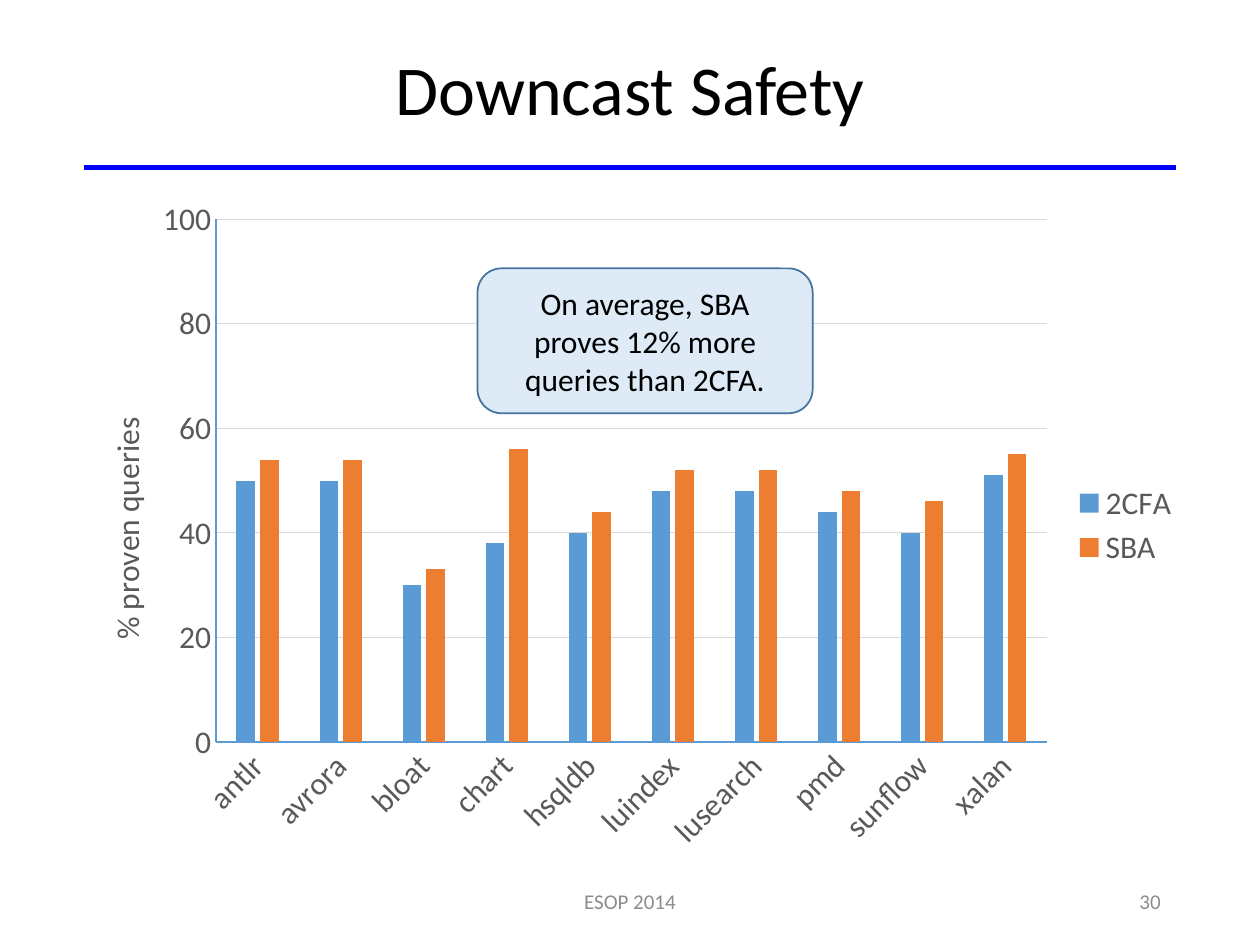
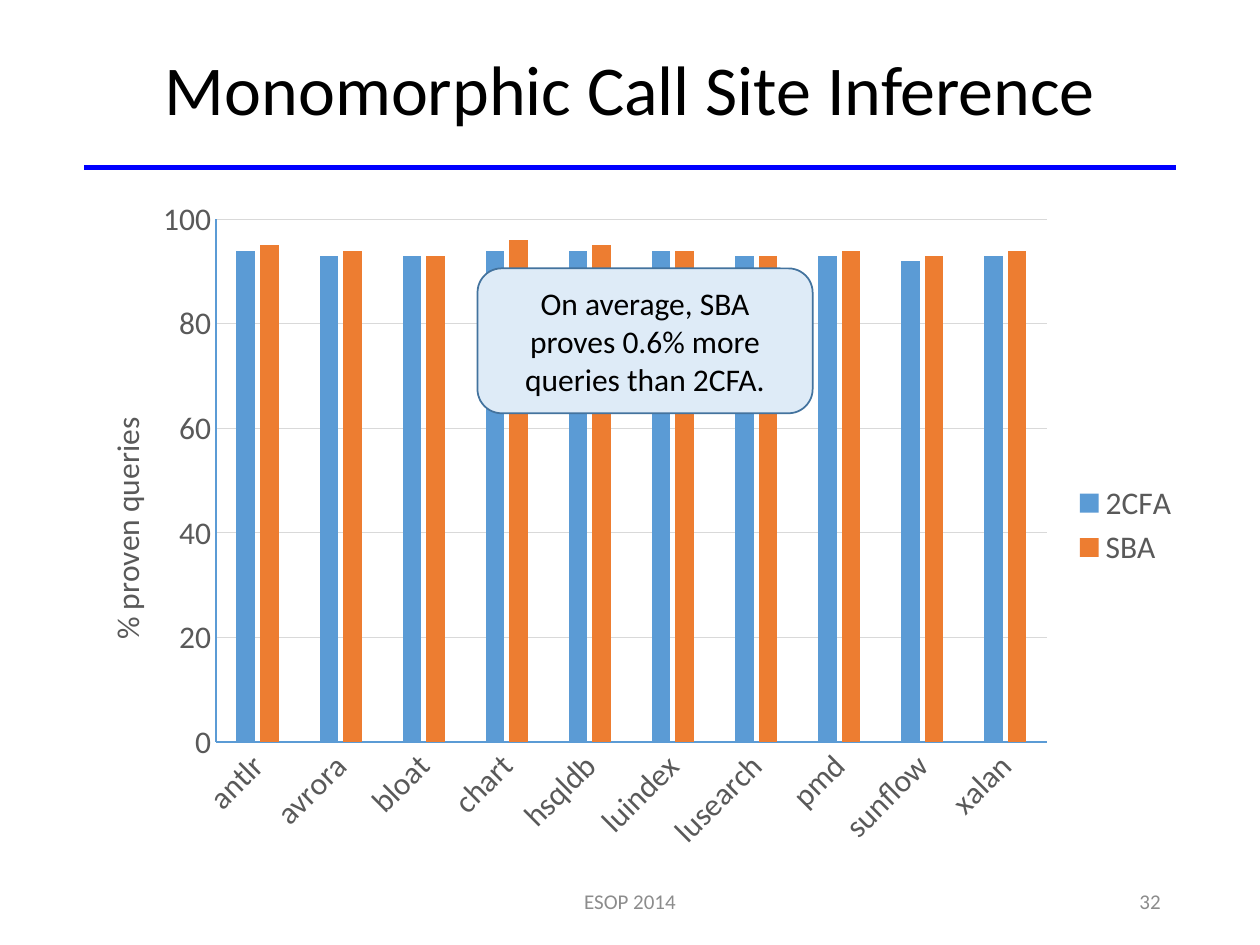
"""Build two result slides that compare 2CFA and SBA in column charts."""
from dataclasses import dataclass

import pptx
import pptx.chart.data
import pptx.dml.color
import pptx.enum.chart
import pptx.enum.shapes
import pptx.enum.text
import pptx.oxml
import pptx.oxml.ns
import pptx.util
from pptx.chart.axis import _BaseAxis
from pptx.chart.chart import Chart
from pptx.slide import Slide
from pptx.text.text import Font, TextFrame

RGB = pptx.dml.color.RGBColor
Align = pptx.enum.text.PP_ALIGN
Pt = pptx.util.Pt

BLACK = RGB(0x00, 0x00, 0x00)
RULE = RGB(0x00, 0x00, 0xFF)
FOOT = RGB(0x8C, 0x8C, 0x8C)
LABEL = RGB(0x59, 0x59, 0x59)
GRID = RGB(0xD9, 0xD9, 0xD9)
BLUE = RGB(0x5B, 0x9B, 0xD5)
ORANGE = RGB(0xED, 0x7D, 0x31)
PALE = RGB(0xDE, 0xEB, 0xF7)
EDGE = RGB(0x43, 0x73, 0x9E)

FACE = "Calibri"
COLS, ROWS = 100, 75
CELL = pptx.util.Inches(0.1)
BENCHES = ("antlr", "avrora", "bloat", "chart", "hsqldb",
           "luindex", "lusearch", "pmd", "sunflow", "xalan")


@dataclass(frozen=True)
class Box:
    col: float
    row: float
    wide: float
    high: float

    def emu(self) -> list[int]:
        return [round(n * CELL) for n in (self.col, self.row, self.wide, self.high)]


@dataclass(frozen=True)
class Style:
    size: int
    color: RGB
    align: Align = Align.CENTER
    space: float = 1.0


@dataclass(frozen=True)
class Result:
    title: str
    page: int
    gain: str
    cfa: tuple[int, ...]
    sba: tuple[int, ...]


TITLE_BOX = Box(6.9, 1.6, 86.2, 11.5)
RULE_BOX = Box(6.7, 13.3, 86.6, 0)
CHART_BOX = Box(4.9, 14.8, 89.7, 53.8)
NOTE_BOX = Box(37.9, 21.3, 26.6, 11.5)
FOOT_BOX = Box(33.1, 69.5, 33.8, 4)
PAGE_BOX = Box(70.6, 69.5, 22.5, 4)
PLOT_BOX = Box(17.14, 17.4, 65.95, 41.5)
NAME_COL, NAME_ROW = 7.9, 32.7

HEAD = Style(40, BLACK, space=0.9)
NOTE = Style(18, BLACK)
AXIS = Style(18, LABEL)
FOOTER = Style(12, FOOT)
PAGE = Style(12, FOOT, Align.RIGHT)

RESULTS = (
    Result("Downcast Safety", 30, "12%",
           (50, 50, 30, 38, 40, 48, 48, 44, 40, 51),
           (54, 54, 33, 56, 44, 52, 52, 48, 46, 55)),
    Result("Monomorphic Call Site Inference", 32, "0.6%",
           (94, 93, 93, 94, 94, 94, 93, 93, 92, 93),
           (95, 94, 93, 96, 95, 94, 93, 94, 93, 94)),
)


def set_font(font: Font, style: Style) -> None:
    font.name, font.size, font.bold = FACE, Pt(style.size), False
    font.color.rgb = style.color


def write(frame: TextFrame, text: str, style: Style) -> None:
    frame.word_wrap = True
    frame.vertical_anchor = pptx.enum.text.MSO_ANCHOR.MIDDLE
    para = frame.paragraphs[0]
    para.text, para.alignment, para.line_spacing = text, style.align, style.space
    set_font(para.font, style)


def add_text(slide: Slide, box: Box, text: str, style: Style) -> None:
    write(slide.shapes.add_textbox(*box.emu()).text_frame, text, style)


def add_rule(slide: Slide, box: Box) -> None:
    left, top, wide, high = box.emu()
    rule = slide.shapes.add_connector(
        pptx.enum.shapes.MSO_CONNECTOR.STRAIGHT, left, top, left + wide, top + high)
    rule.line.color.rgb, rule.line.width = RULE, Pt(3)
    props = rule._element.spPr
    props.append(props.makeelement(pptx.oxml.ns.qn("a:effectLst"), {}))


def add_note(slide: Slide, box: Box, text: str) -> None:
    note = slide.shapes.add_shape(
        pptx.enum.shapes.MSO_SHAPE.ROUNDED_RECTANGLE, *box.emu())
    note.shadow.inherit = False
    note.fill.solid()
    note.fill.fore_color.rgb = PALE
    note.line.color.rgb, note.line.width = EDGE, Pt(1)
    write(note.text_frame, text, NOTE)


def place(node, index: int, col: float, row: float,
          wide: float = 0, high: float = 0) -> None:
    parts = {"x": (col - CHART_BOX.col) / CHART_BOX.wide,
             "y": (row - CHART_BOX.row) / CHART_BOX.high}
    modes = '<c:xMode val="edge"/><c:yMode val="edge"/>'
    if wide:
        modes = '<c:layoutTarget val="inner"/>' + modes
        parts |= {"w": wide / CHART_BOX.wide, "h": high / CHART_BOX.high}
    sizes = "".join(f'<c:{key} val="{val:.4f}"/>' for key, val in parts.items())
    for old in node.findall(pptx.oxml.ns.qn("c:layout")):
        node.remove(old)
    node.insert(index, pptx.oxml.parse_xml(
        f'<c:layout {pptx.oxml.ns.nsdecls("c")}><c:manualLayout>'
        f'{modes}{sizes}</c:manualLayout></c:layout>'))


def style_axis(axis: _BaseAxis) -> None:
    marks = pptx.enum.chart.XL_TICK_MARK
    axis.major_tick_mark = axis.minor_tick_mark = marks.NONE
    axis.format.line.color.rgb, axis.format.line.width = BLUE, Pt(0.75)
    set_font(axis.tick_labels.font, AXIS)


def style_scale(chart: Chart) -> None:
    axis = chart.value_axis
    axis.minimum_scale, axis.maximum_scale, axis.major_unit = 0, 100, 20
    axis.has_major_gridlines = True
    line = axis.major_gridlines.format.line
    line.color.rgb, line.width = GRID, Pt(0.75)
    name = axis.axis_title
    name.text_frame.text = "% proven queries"
    set_font(name.text_frame.paragraphs[0].font, AXIS)
    name.text_frame._txBody.bodyPr.set("rot", "-5400000")
    place(name._element, 1, NAME_COL, NAME_ROW)


def add_chart(slide: Slide, box: Box, result: Result) -> None:
    data = pptx.chart.data.CategoryChartData(number_format="0")
    data.categories = BENCHES
    data.add_series("2CFA", result.cfa)
    data.add_series("SBA", result.sba)
    kind = pptx.enum.chart.XL_CHART_TYPE.COLUMN_CLUSTERED
    chart = slide.shapes.add_chart(kind, *box.emu(), data).chart
    set_font(chart.font, NOTE)
    chart.has_title = False
    chart.has_legend = True
    chart.legend.position = pptx.enum.chart.XL_LEGEND_POSITION.RIGHT
    chart.legend.include_in_layout = False
    set_font(chart.legend.font, AXIS)
    plot = chart.plots[0]
    plot.gap_width, plot.overlap, plot.vary_by_categories = 219, -27, False
    for series, color in zip(plot.series, (BLUE, ORANGE)):
        series.format.fill.solid()
        series.format.fill.fore_color.rgb = color
    for axis in (chart.category_axis, chart.value_axis):
        style_axis(axis)
    chart.category_axis._element.txPr.bodyPr.set("rot", "-2700000")
    style_scale(chart)
    place(chart._chartSpace.chart.plotArea, 0,
          PLOT_BOX.col, PLOT_BOX.row, PLOT_BOX.wide, PLOT_BOX.high)


def add_slide(deck: pptx.presentation.Presentation, result: Result) -> None:
    slide = deck.slides.add_slide(deck.slide_layouts[6])
    add_rule(slide, RULE_BOX)
    add_chart(slide, CHART_BOX, result)
    add_text(slide, FOOT_BOX, "ESOP 2014", FOOTER)
    add_text(slide, PAGE_BOX, str(result.page), PAGE)
    add_text(slide, TITLE_BOX, result.title, HEAD)
    add_note(slide, NOTE_BOX,
             f"On average, SBA proves {result.gain} more queries than 2CFA.")


def main() -> None:
    deck = pptx.Presentation()
    deck.slide_width, deck.slide_height = COLS * CELL, ROWS * CELL
    for result in RESULTS:
        add_slide(deck, result)
    deck.save("out.pptx")


if __name__ == "__main__":
    main()
